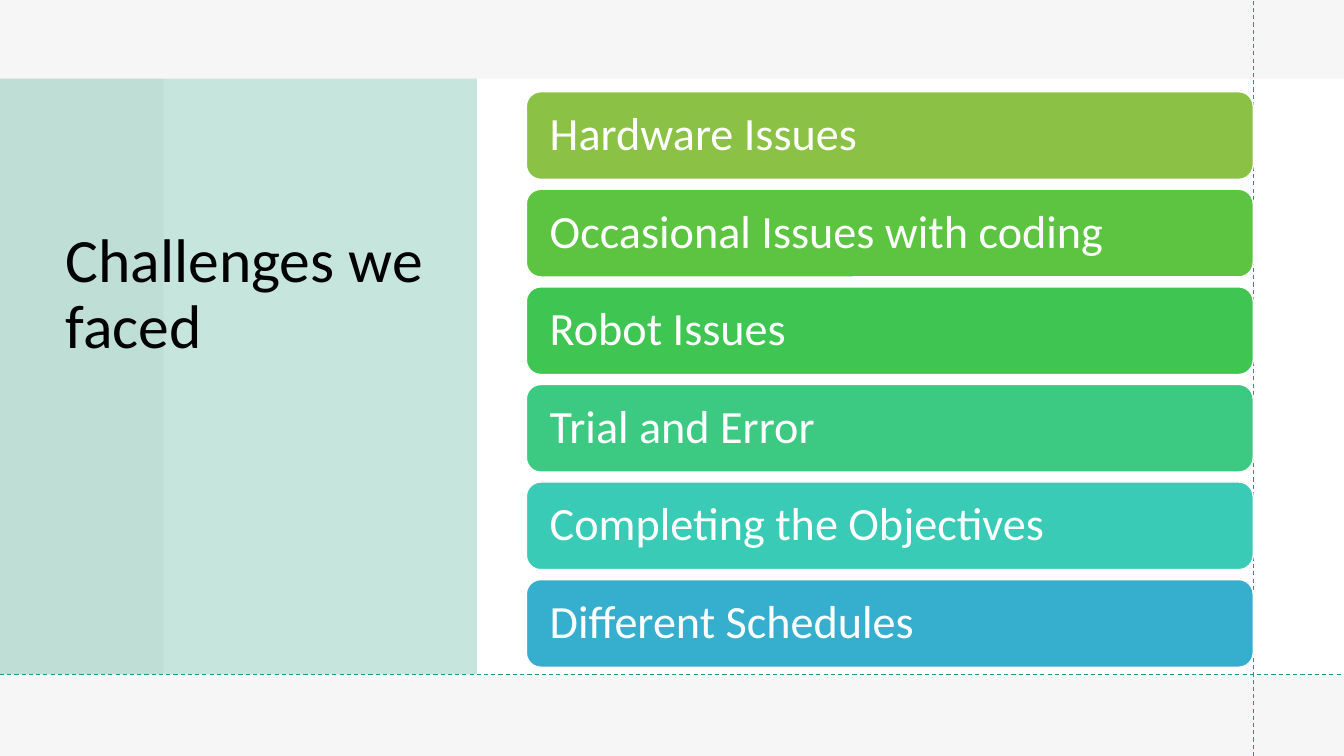
import lxml.etree
import pptx
import pptx.dml.color
import pptx.enum.dml
import pptx.enum.shapes
import pptx.enum.text
import pptx.oxml.ns
import pptx.util

WIDTH, HEIGHT = 13.33, 7.5
BAND_TOP, BAND_BOTTOM = 0.78, 6.69
GUIDE_X = 12.43
GREEN, WHITE, PALE_GREY = "1D9A78", "FFFFFF", "F6F6F6"
CHALLENGES = [
    ("Hardware Issues", "8BC145"),
    ("Occasional Issues with coding", "5DC442"),
    ("Robot Issues", "3FC652"),
    ("Trial and Error", "3CC982"),
    ("Completing the Objectives", "39CBB5"),
    ("Different Schedules", "36AFCE"),
]


def color(value):
    """Turn a hex string into a colour."""
    return pptx.dml.color.RGBColor.from_string(value)


def inches(*values):
    """Turn numbers into lengths in inches."""
    return [pptx.util.Inches(value) for value in values]


def apply(target, formats):
    """Set every attribute named in a dict of format values."""
    for name, value in formats.items():
        setattr(target, name, value)


def add_box(slide, kind, box, fill, opacity=None):
    """Add a filled preset shape without outline or shadow."""
    shape = slide.shapes.add_shape(kind, *inches(*box))
    shape.shadow.inherit = False
    shape.fill.solid()
    shape.fill.fore_color.rgb = color(fill)
    shape.line.fill.background()
    if opacity is not None:
        tint = shape.element.spPr.find(".//" + pptx.oxml.ns.qn("a:srgbClr"))
        alpha = lxml.etree.SubElement(tint, pptx.oxml.ns.qn("a:alpha"))
        alpha.set("val", str(opacity * 1000))
    return shape


def write_text(shape, text, size, ink, left=0.1, bottom=0.05):
    """Write one left-aligned, vertically centred paragraph."""
    frame = shape.text_frame
    frame.text = text
    margin_left, margin_bottom = inches(left, bottom)
    apply(frame, {
        "word_wrap": True,
        "auto_size": pptx.enum.text.MSO_AUTO_SIZE.NONE,
        "vertical_anchor": pptx.enum.text.MSO_ANCHOR.MIDDLE,
        "margin_left": margin_left,
        "margin_bottom": margin_bottom,
    })
    paragraph = frame.paragraphs[0]
    apply(paragraph, {"alignment": pptx.enum.text.PP_ALIGN.LEFT, "line_spacing": 0.9})
    font = paragraph.runs[0].font
    apply(font, {"name": "Calibri", "size": pptx.util.Pt(size)})
    font.color.rgb = color(ink)


def add_panels(slide, box):
    """Lay the white band and the translucent green title panel."""
    left, top, width, height = box
    rectangle = pptx.enum.shapes.MSO_SHAPE.RECTANGLE
    add_box(slide, rectangle, (left + 1.62, top, width - 1.62, height), WHITE)
    add_box(slide, rectangle, (left, top, 4.73, height), GREEN, 25)


def add_title(slide, box):
    """Place the title above the middle of its panel."""
    title = slide.shapes.title
    title.element.getparent().append(title.element)
    apply(title, dict(zip(("left", "top", "width", "height"), inches(*box))))
    write_text(title, "Challenges we faced", 44, "000000", bottom=1.36)


def add_guides(slide, box):
    """Draw the dashed vertical and horizontal guides across the box."""
    left, top, width, height = box
    for ends in (
        (GUIDE_X, top + height, GUIDE_X, top),
        (left, BAND_BOTTOM, left + width, BAND_BOTTOM),
    ):
        guide = slide.shapes.add_connector(
            pptx.enum.shapes.MSO_CONNECTOR.STRAIGHT, *inches(*ends))
        apply(guide.line, {
            "width": pptx.util.Pt(0.75),
            "dash_style": pptx.enum.dml.MSO_LINE.DASH,
        })
        guide.line.color.rgb = color(GREEN)
        lxml.etree.SubElement(guide.element.spPr, pptx.oxml.ns.qn("a:effectLst"))


def add_challenges(slide, box):
    """Stack one rounded bar for each challenge in equal rows."""
    left, top, width, height = box
    bar_height = 0.87
    pitch = (height - bar_height) / (len(CHALLENGES) - 1)
    for row, (text, fill) in enumerate(CHALLENGES):
        bar = add_box(slide, pptx.enum.shapes.MSO_SHAPE.ROUNDED_RECTANGLE,
                      (left, top + row * pitch, width, bar_height), fill)
        bar.line.color.rgb = color(WHITE)
        bar.line.width = pptx.util.Pt(1)
        write_text(bar, text, 33, WHITE, left=0.19)


def build_slide(presentation):
    """Build the challenges slide."""
    slide = presentation.slides.add_slide(presentation.slide_layouts.get_by_name("Title Only"))
    slide.background.fill.solid()
    slide.background.fill.fore_color.rgb = color(PALE_GREY)
    add_panels(slide, (0, BAND_TOP, WIDTH, BAND_BOTTOM - BAND_TOP))
    add_title(slide, (0.55, 0.74, 3.95, 5.69))
    add_guides(slide, (0, 0, WIDTH, HEIGHT))
    add_challenges(slide, (5.22, 0.91, GUIDE_X - 5.22, 5.71))


presentation = pptx.Presentation()
apply(presentation, dict(zip(("slide_width", "slide_height"), inches(WIDTH, HEIGHT))))
build_slide(presentation)
presentation.save("out.pptx")
